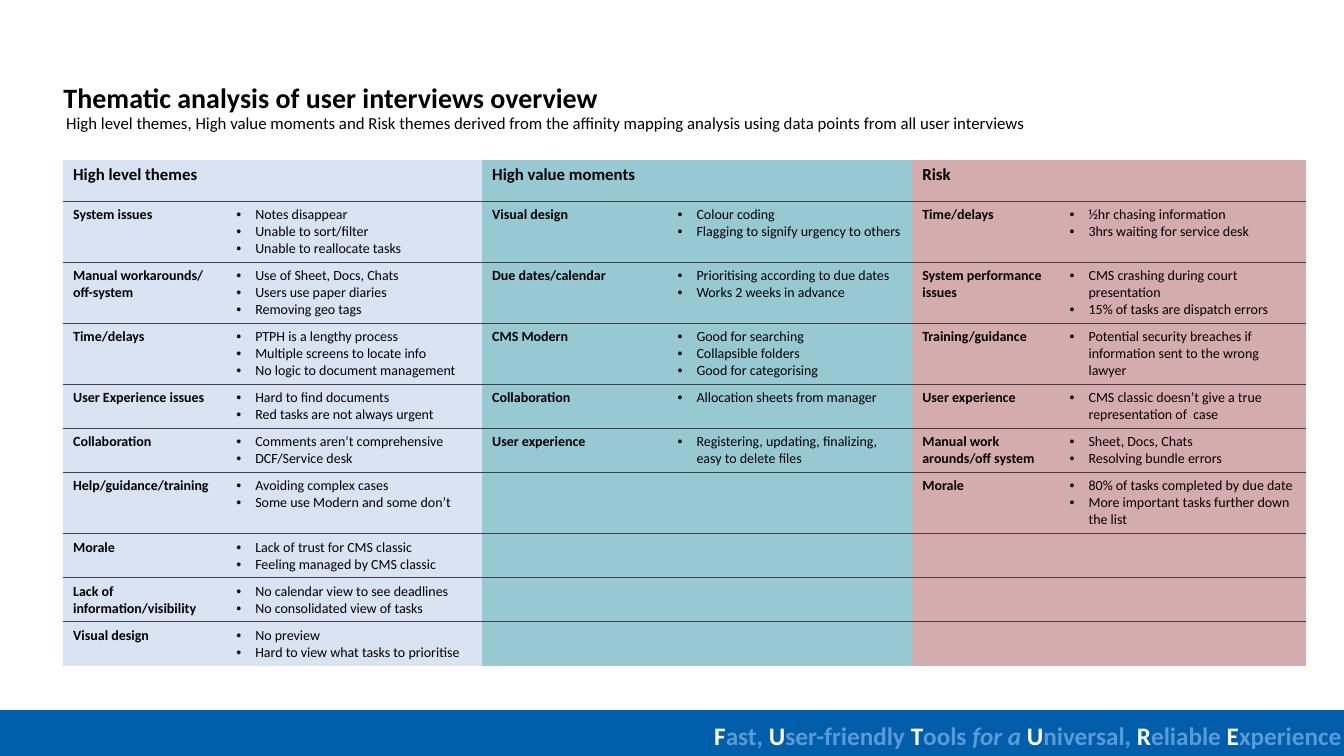
from dataclasses import dataclass

from lxml.etree import SubElement
from pptx import Presentation
from pptx.dml.color import RGBColor
from pptx.enum.shapes import MSO_SHAPE
from pptx.oxml.ns import qn
from pptx.util import Cm, Pt


@dataclass(frozen=True)
class Theme:
    font: str = "Calibri"
    text: str = "000000"
    bar: str = "005EAA"
    white: str = "FFFFFF"
    light_blue: str = "5B9BD5"
    rule: str = "404040"
    themes_fill: str = "DAE3F3"
    moments_fill: str = "97C9D3"
    risk_fill: str = "D5ACAE"
    title_size: int = 20
    footer_size: int = 18
    heading_size: int = 12
    cell_size: int = 10


theme = Theme()


def add_run(paragraph, text, size, color=theme.text, bold=False, italic=False):
    run = paragraph.add_run()
    run.text = text
    font_format = {"name": theme.font, "size": Pt(size), "bold": bold, "italic": italic}
    for name, value in font_format.items():
        setattr(run.font, name, value)
    run.font.color.rgb = RGBColor.from_string(color)


def add_text_box(left, top, width, height):
    text_box = slide.shapes.add_textbox(Cm(left), Cm(top), Cm(width), Cm(height))
    text_box.text_frame.word_wrap = True
    return text_box.text_frame.paragraphs[0]


presentation = Presentation()
presentation.slide_width = Cm(33.87)
presentation.slide_height = Cm(19.05)
slide = presentation.slides.add_slide(presentation.slide_layouts[6])

# Footer bar and slogan
footer_bar = slide.shapes.add_shape(MSO_SHAPE.RECTANGLE, 0, Cm(17.9), Cm(33.87), Cm(1.15))
footer_bar.shadow.inherit = False
footer_bar.fill.solid()
footer_bar.fill.fore_color.rgb = RGBColor.from_string(theme.bar)
footer_bar.line.color.rgb = RGBColor.from_string(theme.bar)
footer_bar.line.width = Pt(1)

slogan = add_text_box(17.75, 18.03, 16.8, 1.02)
slogan_parts = [
    ("F", "ast, "), ("U", "ser-friendly "), ("T", "ools "), ("", "for a "),
    ("U", "niversal, "), ("R", "eliable "), ("E", "xperience"),
]
for initial, rest in slogan_parts:
    if initial:
        add_run(slogan, initial, theme.footer_size, theme.white, bold=True)
    add_run(slogan, rest, theme.footer_size, theme.light_blue, bold=True, italic=not initial)

# Title and subtitle
title = add_text_box(1.35, 1.9, 29, 1.1)
add_run(title, "Thematic analysis of user interviews overview", theme.title_size, bold=True)
subtitle = add_text_box(1.42, 2.72, 29.5, 0.77)
add_run(
    subtitle,
    "High level themes, High value moments and Risk themes derived from the affinity mapping "
    "analysis using data points from all user interviews",
    theme.heading_size,
)

# Table content: heading, fill, and topics with their bullets
sections = [
    ("High level themes", theme.themes_fill, [
        ("System issues", ["Notes disappear", "Unable to sort/filter", "Unable to reallocate tasks"]),
        ("Manual workarounds/ off-system",
         ["Use of Sheet, Docs, Chats", "Users use paper diaries", "Removing geo tags"]),
        ("Time/delays", ["PTPH is a lengthy process", "Multiple screens to locate info",
                         "No logic to document management"]),
        ("User Experience issues", ["Hard to find documents", "Red tasks are not always urgent"]),
        ("Collaboration", ["Comments aren’t comprehensive", "DCF/Service desk"]),
        ("Help/guidance/training", ["Avoiding complex cases", "Some use Modern and some don’t"]),
        ("Morale", ["Lack of trust for CMS classic", "Feeling managed by CMS classic"]),
        ("Lack of information/visibility",
         ["No calendar view to see deadlines", "No consolidated view of tasks"]),
        ("Visual design", ["No preview", "Hard to view what tasks to prioritise"]),
    ]),
    ("High value moments", theme.moments_fill, [
        ("Visual design", ["Colour coding", "Flagging to signify urgency to others"]),
        ("Due dates/calendar", ["Prioritising according to due dates", "Works 2 weeks in advance"]),
        ("CMS Modern", ["Good for searching", "Collapsible folders", "Good for categorising"]),
        ("Collaboration", ["Allocation sheets from manager"]),
        ("User experience", ["Registering, updating, finalizing, easy to delete files"]),
    ]),
    ("Risk", theme.risk_fill, [
        ("Time/delays", ["½hr chasing information", "3hrs waiting for service desk"]),
        ("System performance issues",
         ["CMS crashing during court presentation", "15% of tasks are dispatch errors"]),
        ("Training/guidance",
         ["Potential security breaches if information sent to the wrong lawyer"]),
        ("User experience", ["CMS classic doesn’t give a true representation of  case"]),
        ("Manual work arounds/off system", ["Sheet, Docs, Chats", "Resolving bundle errors"]),
        ("Morale", ["80% of tasks completed by due date",
                    "More important tasks further down the list"]),
    ]),
]
column_widths = [4.11, 6.45, 4.67, 6.17, 3.71, 6.22]
two_lines, three_lines = 1.11, 1.54
row_heights = [1.04] + [three_lines] * 3 + [two_lines] * 2 + [three_lines] + [two_lines] * 3

table = slide.shapes.add_table(
    len(row_heights), len(column_widths), Cm(1.59), Cm(4.03),
    Cm(sum(column_widths)), Cm(sum(row_heights)),
).table
table.first_row = False
table.horz_banding = False
for column, width in zip(table.columns, column_widths):
    column.width = Cm(width)
for row, height in zip(table.rows, row_heights):
    row.height = Cm(height)

# Cell fills and the rules between rows
last_row = len(row_heights) - 1
for row_index, row in enumerate(table.rows):
    for column_index, cell in enumerate(row.cells):
        properties = cell._tc.get_or_add_tcPr()
        edges = {"lnL": False, "lnR": False, "lnT": row_index > 0, "lnB": row_index < last_row}
        for edge, visible in edges.items():
            line = SubElement(properties, qn(f"a:{edge}"), w=str(Pt(1)))
            if visible:
                line_fill = SubElement(line, qn("a:solidFill"))
                SubElement(line_fill, qn("a:srgbClr"), val=theme.rule)
            else:
                SubElement(line, qn("a:noFill"))
        cell.fill.solid()
        cell.fill.fore_color.rgb = RGBColor.from_string(sections[column_index // 2][1])
        cell.text_frame.paragraphs[0].font.size = Pt(theme.cell_size)

# Cell text
for section_index, (heading, _, topics) in enumerate(sections):
    topic_column = 2 * section_index
    heading_frame = table.cell(0, topic_column).text_frame
    add_run(heading_frame.paragraphs[0], heading, theme.heading_size, bold=True)
    for row_index, (topic, bullets) in enumerate(topics, start=1):
        topic_frame = table.cell(row_index, topic_column).text_frame
        add_run(topic_frame.paragraphs[0], topic, theme.cell_size, bold=True)
        bullet_frame = table.cell(row_index, topic_column + 1).text_frame
        for bullet_index, bullet in enumerate(bullets):
            paragraph = bullet_frame.add_paragraph() if bullet_index else bullet_frame.paragraphs[0]
            paragraph_properties = paragraph._p.get_or_add_pPr()
            for child in list(paragraph_properties):
                paragraph_properties.remove(child)
            paragraph_properties.set("marL", str(Cm(0.48)))
            paragraph_properties.set("indent", str(-Cm(0.48)))
            SubElement(paragraph_properties, qn("a:buFont"), typeface="Arial")
            SubElement(paragraph_properties, qn("a:buChar"), char="•")
            add_run(paragraph, bullet, theme.cell_size)

presentation.save("out.pptx")
